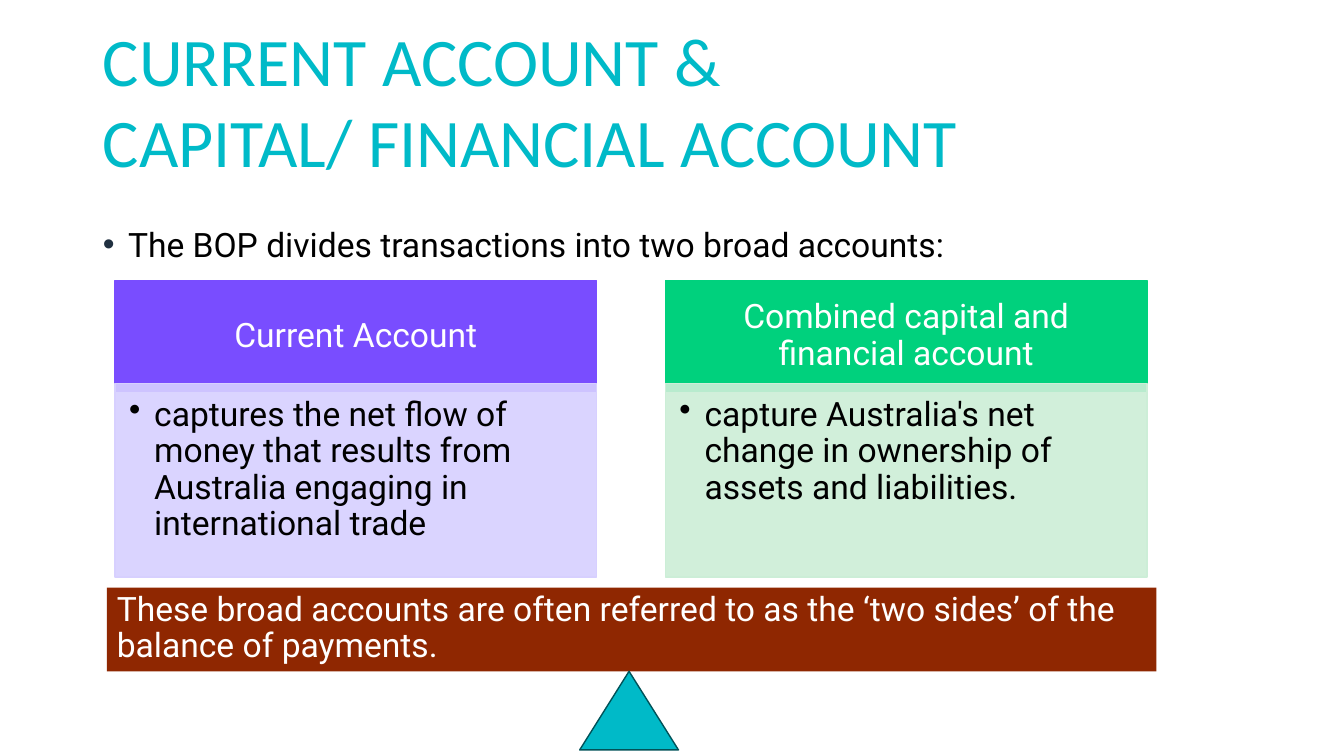
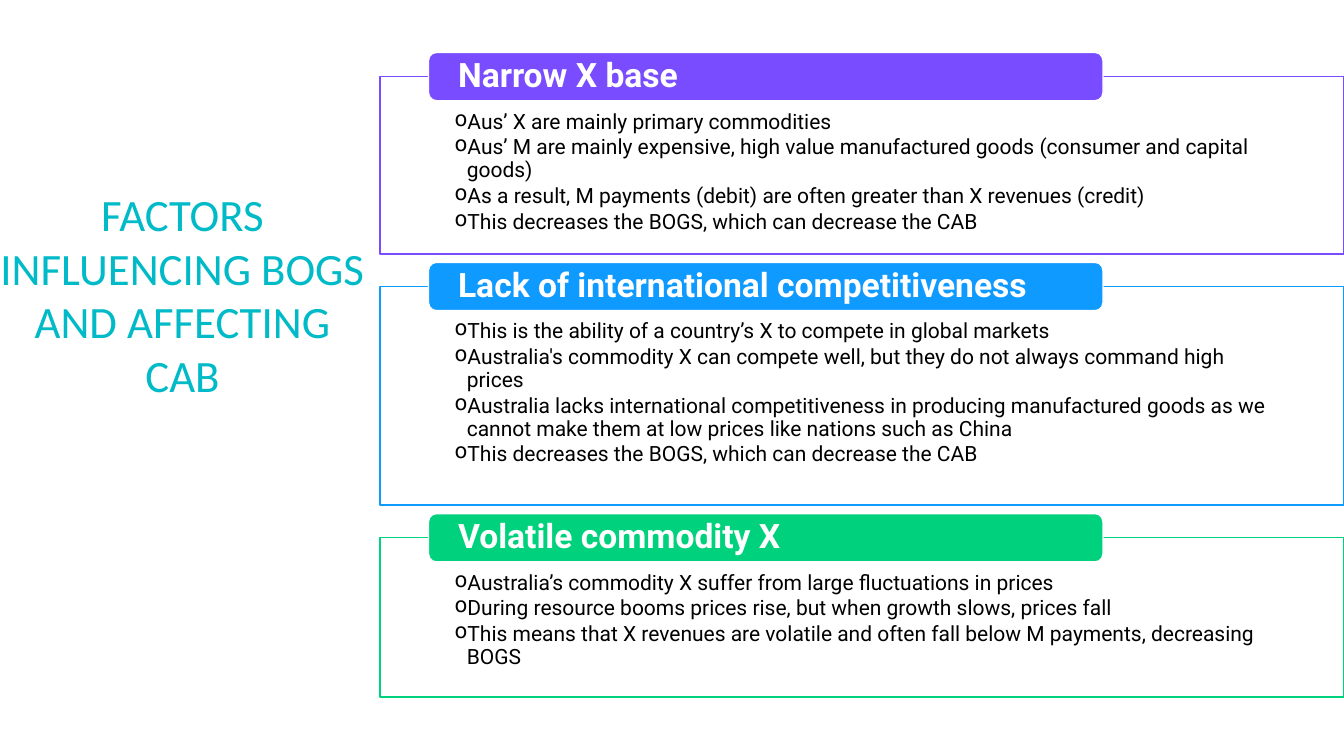
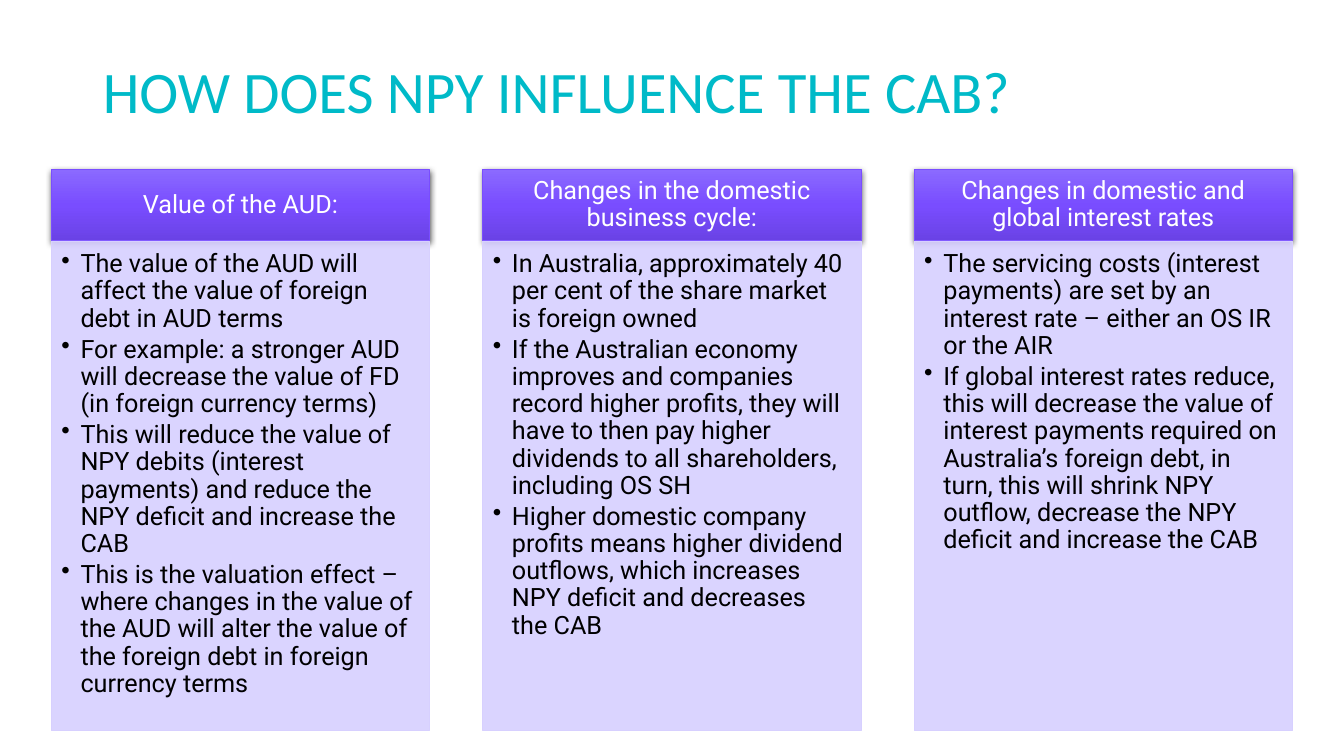
import copy
from dataclasses import dataclass
from typing import Any, Optional

import pptx
import pptx.util
import pptx.dml.color
import pptx.enum.shapes
import pptx.enum.text
import pptx.oxml
import pptx.oxml.ns
from lxml import etree

KIND = pptx.enum.shapes.MSO_SHAPE
ALIGN = pptx.enum.text.PP_ALIGN
ANCHOR = pptx.enum.text.MSO_ANCHOR
WIDE, HIGH = pptx.util.Inches(13.33), pptx.util.Inches(7.5)


@dataclass(frozen=True)
class Theme:
    teal: str = "00BAC8"
    deep: str = "005258"
    navy: str = "203040"
    violet: str = "794DFF"
    lilac: str = "D7D0FF"
    green: str = "00D17D"
    mint: str = "CCEED7"
    blue: str = "0F9AFF"
    rust: str = "8F2701"
    white: str = "FFFFFF"
    black: str = "000000"
    glow: tuple[str, ...] = ("8B6AFF", "794DFF", "6A42E5")
    head: str = "Calibri"
    text: str = "Roboto"
    large: float = 24
    mid: float = 18
    small: float = 15


@dataclass(frozen=True)
class Area:
    """Shares of the slide in percent."""
    left: float
    top: float
    wide: float
    high: float

    def place(self) -> tuple[int, int, int, int]:
        return (int(WIDE * self.left / 100), int(HIGH * self.top / 100),
                int(WIDE * self.wide / 100), int(HIGH * self.high / 100))


@dataclass(frozen=True)
class Card:
    head: str
    items: tuple[str, ...]
    fill: str
    pale: str


@dataclass(frozen=True)
class Deck:
    """Measures shared by a row of cards."""
    head: Area
    body: Area
    step: float
    size: float
    pad: tuple[float, ...]
    inset: tuple[float, ...]
    hang: float
    line: float
    glow: bool = False


@dataclass(frozen=True)
class Panel:
    head: str
    items: tuple[str, ...]
    fill: str
    high: float


T = Theme()


def tone(code: str) -> pptx.dml.color.RGBColor:
    return pptx.dml.color.RGBColor.from_string(code)


def node(root: Any, tag: str, **attrs: Any) -> Any:
    return etree.SubElement(root, pptx.oxml.ns.qn(f"a:{tag}"),
                            {key: str(val) for key, val in attrs.items()})


def write(shape: Any, *lines: str, size: float, color: str = T.black, font: str = T.text,
          bold: bool = False, align: Any = ALIGN.LEFT, anchor: Any = ANCHOR.TOP,
          inset: tuple[float, ...] = (0.1, 0.05, 0.1, 0.05), space: float = 0.9,
          after: float = 0, mark: str = "", dot: str = "", hang: float = 0) -> None:
    frame = shape.text_frame
    frame.word_wrap = True
    frame.auto_size = pptx.enum.text.MSO_AUTO_SIZE.NONE
    frame.vertical_anchor = anchor
    (frame.margin_left, frame.margin_top,
     frame.margin_right, frame.margin_bottom) = map(pptx.util.Inches, inset)
    for rank, line in enumerate(lines):
        para = frame.add_paragraph() if rank else frame.paragraphs[0]
        para.text = line
        para.alignment = align
        para.line_spacing = space
        para.space_before = pptx.util.Pt(0)
        para.space_after = pptx.util.Pt(size * after)
        if mark:
            props = para._p.get_or_add_pPr()
            props.set("marL", str(pptx.util.Inches(hang)))
            props.set("indent", str(-pptx.util.Inches(hang)))
            if dot:
                node(node(props, "buClr"), "srgbClr", val=dot)
            node(props, "buChar", char=mark)
        for run in para.runs:
            run.font.size = pptx.util.Pt(size)
            run.font.name = font
            run.font.bold = bold
            run.font.color.rgb = tone(color)


def draw(slide: Any, area: Area, fill: str, edge: Optional[str] = None, line: float = 1,
         kind: Any = KIND.RECTANGLE, sheer: bool = False) -> Any:
    shape = slide.shapes.add_shape(kind, *area.place())
    shape.shadow.inherit = False
    shape.fill.solid()
    shape.fill.fore_color.rgb = tone(fill)
    if edge:
        shape.line.color.rgb = tone(edge)
        shape.line.width = pptx.util.Pt(line)
    else:
        shape.line.fill.background()
    if sheer:
        for color in shape._element.spPr.xpath("./a:solidFill/a:srgbClr"):
            node(color, "alpha", val=90000)
    return shape


def shine(shape: Any) -> None:
    shape.fill.gradient()
    shape.fill.gradient_angle = 270
    props = shape._element.spPr
    stops = props.xpath("./a:gradFill/a:gsLst")[0]
    stops.insert(1, copy.deepcopy(stops[0]))
    for rank, (stop, code) in enumerate(zip(shape.fill.gradient_stops, T.glow)):
        stop.color.rgb = tone(code)
        stop.position = rank / 2
    cast = node(props.xpath("./a:effectLst")[0], "outerShdw", blurRad=pptx.util.Pt(4.5),
                dist=pptx.util.Pt(1.5), dir=5400000, algn="ctr", rotWithShape=0)
    node(node(cast, "srgbClr", val=T.black), "alpha", val=63000)


def move(shape: Any, area: Area) -> None:
    shape.left, shape.top, shape.width, shape.height = area.place()


def start(deck: Any, layout: int, title: str, area: Area, size: float,
          align: Any = ALIGN.LEFT, anchor: Any = ANCHOR.BOTTOM) -> Any:
    slide = deck.slides.add_slide(deck.slide_layouts[layout])
    move(slide.shapes.title, area)
    write(slide.shapes.title, title, size=size, color=T.teal, font=T.head,
          align=align, anchor=anchor, space=1)
    return slide


def shift(area: Area, step: float) -> Area:
    return Area(area.left + step, area.top, area.wide, area.high)


def cards(slide: Any, deck: Deck, *row: Card) -> None:
    for rank, card in enumerate(row):
        step = rank * deck.step
        head = draw(slide, shift(deck.head, step), card.fill, card.fill, deck.line)
        if deck.glow:
            shine(head)
        write(head, card.head, size=deck.size, color=T.white, align=ALIGN.CENTER,
              anchor=ANCHOR.MIDDLE, inset=deck.pad)
        body = draw(slide, shift(deck.body, step), card.pale, card.pale, deck.line, sheer=True)
        write(body, *card.items, size=deck.size, inset=deck.inset, after=0.15,
              mark="•", hang=deck.hang)


def panels(slide: Any, top: float, gap: float, *stack: Panel) -> None:
    for panel in stack:
        body = draw(slide, Area(28.28, top, 71.72, panel.high), T.white, panel.fill, sheer=True)
        write(body, *panel.items, size=T.small, inset=(0.74, 0.34, 0.74, 0.12),
              after=0.15, mark="o", hang=0.12)
        tab = draw(slide, Area(31.88, top - 3.2, 50.19, 6.4), panel.fill, T.white,
                   kind=KIND.ROUNDED_RECTANGLE)
        write(tab, panel.head, size=T.large, color=T.white, bold=True,
              anchor=ANCHOR.MIDDLE, inset=(0.27, 0, 0.27, 0))
        top += panel.high + gap


def sides(deck: Any) -> None:
    slide = start(deck, 1, "CURRENT ACCOUNT &\nCAPITAL/ FINANCIAL ACCOUNT",
                  Area(6.9, 5.33, 86.25, 19.33), 48.6)
    body = slide.placeholders[1]
    move(body, Area(6.9, 28.4, 86.25, 67.87))
    write(body, "The BOP divides transactions into two broad accounts:", size=T.large,
          space=1.1, mark="•", dot=T.navy, hang=0.25)
    plan = Deck(Area(8.55, 37.13, 35.85, 14.67), Area(8.55, 50.73, 35.85, 25.6), 40.95, T.large,
                (0.19, 0.11, 0.19, 0.11), (0.14, 0.14, 0.19, 0.21), 0.25, 1)
    cards(slide, plan,
          Card("Current Account",
               ("captures the net flow of money that results from Australia engaging in "
                "international trade",), T.violet, T.lilac),
          Card("Combined capital and financial account",
               ("capture Australia's net change in ownership of assets and liabilities.",),
               T.green, T.mint))
    beam = draw(slide, Area(7.95, 77.73, 78.1, 11.07), T.rust)
    write(beam, "These broad accounts are often referred to as the ‘two sides’ of the "
          "balance of payments.", size=T.large, color=T.white)
    draw(slide, Area(43.13, 88.8, 7.35, 10.4), T.teal, T.deep, kind=KIND.ISOSCELES_TRIANGLE)


def factors(deck: Any) -> None:
    slide = start(deck, 5, "FACTORS INFLUENCING BOGS AND AFFECTING CAB",
                  Area(-1.12, 24, 29.4, 58.27), 32, ALIGN.CENTER, ANCHOR.TOP)
    fall = "This decreases the BOGS, which can decrease the CAB"
    panels(slide, 10.13, 4.3,
           Panel("Narrow X base",
                 ("Aus’ X are mainly primary commodities",
                  "Aus’ M are mainly expensive, high value manufactured goods "
                  "(consumer and capital goods)",
                  "As a result, M payments (debit) are often greater than X revenues (credit)",
                  fall), T.violet, 23.47),
           Panel("Lack of international competitiveness",
                 ("This is the ability of a country’s X to compete in global markets",
                  "Australia's commodity X can compete well, but they do not always "
                  "command high prices",
                  "Australia lacks international competitiveness in producing manufactured "
                  "goods as we cannot make them at low prices like nations such as China",
                  fall), T.blue, 28.93),
           Panel("Volatile commodity X",
                 ("Australia’s commodity X suffer from large fluctuations in prices",
                  "During resource booms prices rise, but when growth slows, prices fall",
                  "This means that X revenues are volatile and often fall below M payments, "
                  "decreasing BOGS"), T.green, 21.07))


def income(deck: Any) -> None:
    slide = start(deck, 5, "HOW DOES NPY INFLUENCE THE CAB?",
                  Area(6.9, 2.53, 86.25, 14.67), 42)
    plan = Deck(Area(3.83, 22.4, 28.13, 9.47), Area(3.83, 31.87, 28.13, 64.8), 32.1, T.mid,
                (0.14, 0.08, 0.14, 0.08), (0.1, 0.1, 0.14, 0.16), 0.19, 0.5, True)
    cards(slide, plan,
          Card("Value of the AUD:",
               ("The value of the AUD will affect the value of foreign debt in AUD terms",
                "For example: a stronger AUD will decrease the value of FD "
                "(in foreign currency terms)",
                "This will reduce the value of NPY debits (interest payments) and reduce "
                "the NPY deficit and increase the CAB",
                "This is the valuation effect – where changes in the value of the AUD will "
                "alter the value of the foreign debt in foreign currency terms"),
               T.violet, T.lilac),
          Card("Changes in the domestic business cycle:",
               ("In Australia, approximately 40 per cent of the share market is foreign owned",
                "If the Australian economy improves and companies record higher profits, they "
                "will have to then pay higher dividends to all shareholders, including OS SH",
                "Higher domestic company profits means higher dividend outflows, which "
                "increases NPY deficit and decreases the CAB"), T.violet, T.lilac),
          Card("Changes in domestic and global interest rates",
               ("The servicing costs (interest payments) are set by an interest rate – "
                "either an OS IR or the AIR",
                "If global interest rates reduce, this will decrease the value of interest "
                "payments required on Australia’s foreign debt, in turn, this will shrink NPY "
                "outflow, decrease the NPY deficit and increase the CAB"), T.violet, T.lilac))


def main() -> None:
    deck = pptx.Presentation()
    deck.slide_width, deck.slide_height = WIDE, HIGH
    for build in (sides, factors, income):
        build(deck)
    deck.save("out.pptx")


if __name__ == "__main__":
    main()
